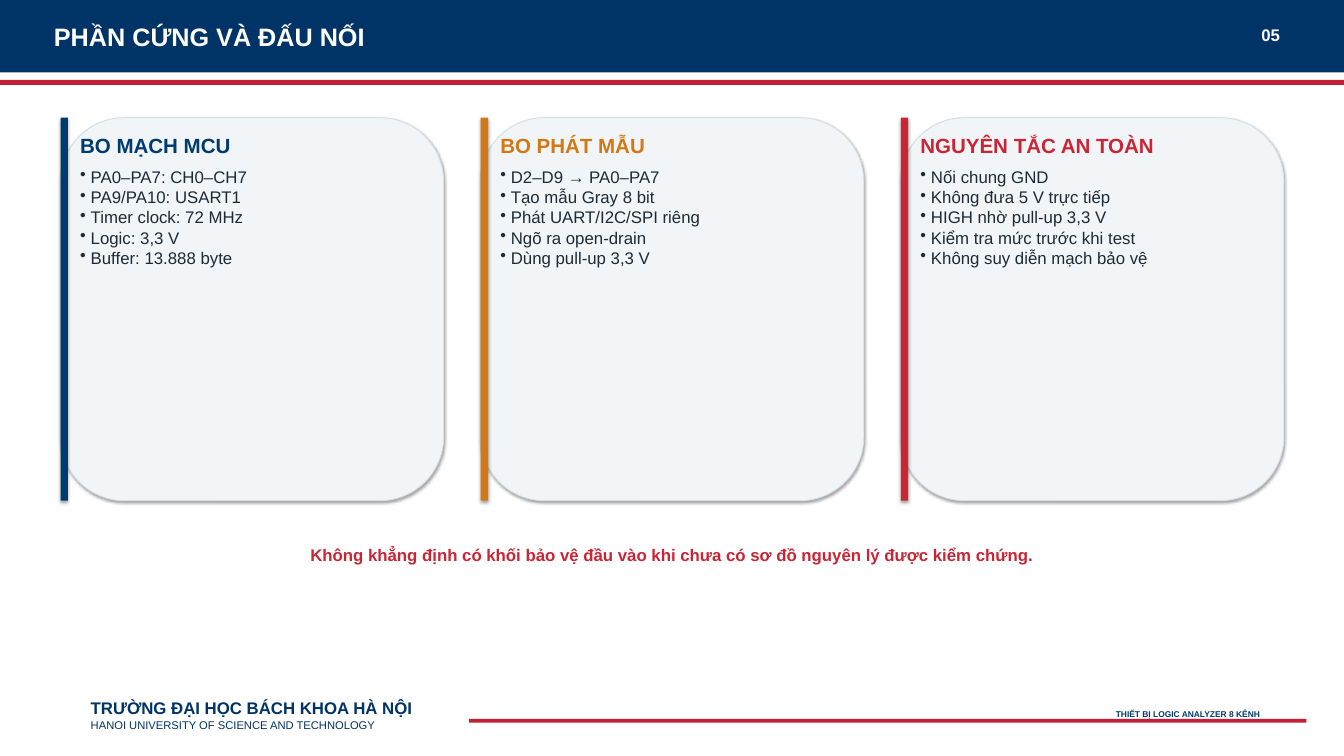
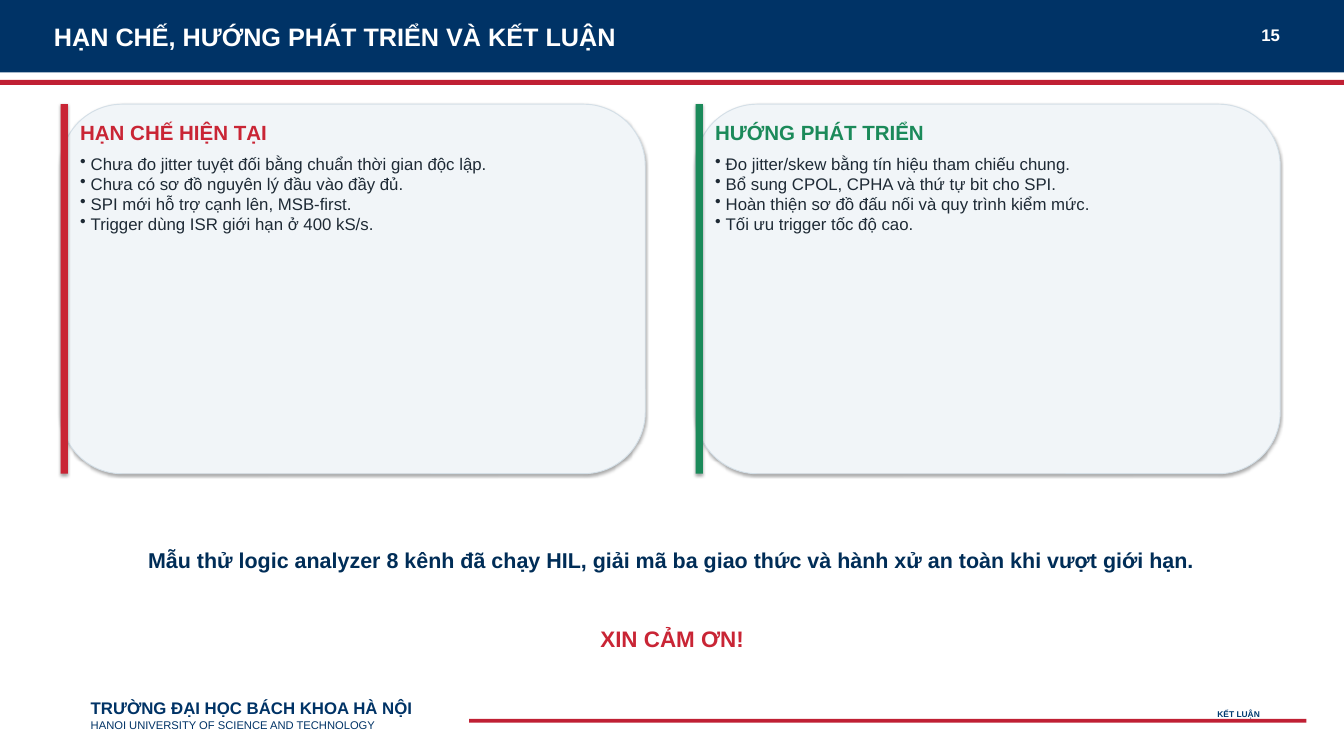
from lxml.etree import SubElement
from pptx import Presentation
from pptx.dml.color import RGBColor
from pptx.enum.shapes import MSO_SHAPE as Preset
from pptx.enum.text import MSO_ANCHOR as Anchor, PP_ALIGN as Align
from pptx.oxml.ns import qn
from pptx.util import Cm, Pt

WHITE = RGBColor(0xFF, 0xFF, 0xFF)
BAND_BLUE = RGBColor(0x00, 0x33, 0x66)
BAND_RED = RGBColor(0xC0, 0x20, 0x34)
NAVY = RGBColor(0x00, 0x3B, 0x70)
DEEP_NAVY = RGBColor(0x00, 0x2D, 0x57)
ORANGE = RGBColor(0xD2, 0x78, 0x14)
RED = RGBColor(0xC9, 0x25, 0x35)
GREEN = RGBColor(0x1B, 0x8A, 0x5A)
INK = RGBColor(0x1E, 0x2A, 0x35)
CARD_FILL = RGBColor(0xF1, 0xF5, 0xF8)
CARD_EDGE = RGBColor(0xD4, 0xDF, 0xE7)

FONT = "Arial"
SLIDE_W, SLIDE_H = 50.8, 28.58
CARD_LEFT = 2.29
INSET = 0.13
BULLET_INDENT = 0.4

TITLE = {"size": Pt(27), "bold": True}
NUMBER = {"size": Pt(18), "bold": True}
FOOTER = {"size": Pt(9), "bold": True}
UNIVERSITY = {"size": Pt(18), "bold": True}
UNIVERSITY_EN = {"size": Pt(12), "bold": False}
HEADING = {"size": Pt(22), "bold": True}
BODY = {"size": Pt(18), "bold": False}
WARNING = {"size": Pt(18), "bold": True}
SUMMARY = {"size": Pt(23), "bold": True}
THANKS = {"size": Pt(24), "bold": True}


def format_font(font, style, color):
    for attribute, value in {"name": FONT, **style}.items():
        setattr(font, attribute, value)
    font.color.rgb = color


def add_block(slide, box, fill, preset=Preset.RECTANGLE, edge=None):
    block = slide.shapes.add_shape(preset, *map(Cm, box))
    block.fill.solid()
    block.fill.fore_color.rgb = fill
    if edge is None:
        block.line.fill.background()
    else:
        block.line.color.rgb = edge
        block.line.width = Pt(1)
    block.shadow.inherit = False
    return block


def cast_shadow(block):
    effects = block._element.spPr.find(qn("a:effectLst"))
    shadow = SubElement(effects, qn("a:outerShdw"), blurRad="40000",
                        dist="23000", dir="5400000", rotWithShape="0")
    black = SubElement(shadow, qn("a:srgbClr"), val="000000")
    SubElement(black, qn("a:alpha"), val="35000")


def add_text(slide, box, lines, style, color, align=Align.LEFT,
             anchor=Anchor.TOP, inset=INSET):
    """Add a text box with one paragraph per line and return its paragraphs."""
    frame = slide.shapes.add_textbox(*map(Cm, box)).text_frame
    frame.word_wrap = True
    frame.vertical_anchor = anchor
    for side in ("left", "top", "right", "bottom"):
        setattr(frame, f"margin_{side}", Cm(inset))
    frame.text = "\n".join(lines)
    for paragraph in frame.paragraphs:
        paragraph.alignment = align
        format_font(paragraph.font, style, color)
        for run in paragraph.runs:
            format_font(run.font, style, color)
    return frame.paragraphs


def add_bullets(slide, box, items):
    indent = Cm(BULLET_INDENT)
    for paragraph in add_text(slide, box, items, BODY, INK):
        properties = paragraph._p.get_or_add_pPr()
        properties.set("marL", str(indent))
        properties.set("indent", str(-indent))
        bullet = properties.makeelement(qn("a:buChar"), {"char": "•"})
        properties.insert(0, bullet)


def add_header(slide, title, number):
    add_block(slide, (0, 0, SLIDE_W, 2.74), BAND_BLUE)
    add_block(slide, (0, 3.02, SLIDE_W, 0.19), BAND_RED)
    add_text(slide, (1.91, 0.69, 42.67, 1.4), [title], TITLE, WHITE,
             anchor=Anchor.MIDDLE)
    add_text(slide, (45.97, 0.69, 2.54, 1.27), [number], NUMBER, WHITE,
             Align.RIGHT, Anchor.MIDDLE)


def add_footer(slide, topic):
    names = add_text(
        slide, (3.43, 25.96, 13.72, 2.13),
        ["TRƯỜNG ĐẠI HỌC BÁCH KHOA HÀ NỘI",
         "HANOI UNIVERSITY OF SCIENCE AND TECHNOLOGY"],
        UNIVERSITY, BAND_BLUE, anchor=Anchor.MIDDLE, inset=0)
    for name, style in zip(names, (UNIVERSITY, UNIVERSITY_EN)):
        name.line_spacing = Pt(style["size"].pt * 1.2)
        format_font(name.font, style, BAND_BLUE)
        format_font(name.runs[0].font, style, BAND_BLUE)
    add_block(slide, (17.73, 27.18, 31.65, 0.14), BAND_RED)
    add_text(slide, (34.8, 26.67, 12.95, 0.64), [topic], FOOTER, NAVY,
             Align.RIGHT)


def add_card(slide, box, heading, accent, items):
    left, top, width, height = box
    cast_shadow(add_block(slide, box, CARD_FILL, Preset.ROUNDED_RECTANGLE,
                          CARD_EDGE))
    cast_shadow(add_block(slide, (left, top, 0.28, height), accent))
    text_left, text_width = left + 0.61, width - 1.07
    add_text(slide, (text_left, top + 0.46, text_width, 1.07), [heading],
             HEADING, accent)
    add_bullets(slide, (text_left, top + 1.73, text_width, height - 2.08),
                items)


def add_card_row(slide, top, width, height, gap, cards):
    for column, card in enumerate(cards):
        left = CARD_LEFT + column * (width + gap)
        add_card(slide, (left, top, width, height), *card)


def add_framed_slide(deck, title, number, topic):
    slide = deck.slides.add_slide(deck.slide_layouts[6])
    add_header(slide, title, number)
    add_footer(slide, topic)
    return slide


def build_hardware(deck):
    slide = add_framed_slide(deck, "PHẦN CỨNG VÀ ĐẤU NỐI", "05",
                             "THIẾT BỊ LOGIC ANALYZER 8 KÊNH")
    add_card_row(slide, 4.45, 14.48, 14.48, 1.4, [
        ("BO MẠCH MCU", NAVY, [
            "PA0–PA7: CH0–CH7",
            "PA9/PA10: USART1",
            "Timer clock: 72 MHz",
            "Logic: 3,3 V",
            "Buffer: 13.888 byte"]),
        ("BO PHÁT MẪU", ORANGE, [
            "D2–D9 → PA0–PA7",
            "Tạo mẫu Gray 8 bit",
            "Phát UART/I2C/SPI riêng",
            "Ngõ ra open-drain",
            "Dùng pull-up 3,3 V"]),
        ("NGUYÊN TẮC AN TOÀN", RED, [
            "Nối chung GND",
            "Không đưa 5 V trực tiếp",
            "HIGH nhờ pull-up 3,3 V",
            "Kiểm tra mức trước khi test",
            "Không suy diễn mạch bảo vệ"]),
    ])
    add_text(slide, (5.33, 20.45, 40.13, 1.4),
             ["Không khẳng định có khối bảo vệ đầu vào khi chưa có "
              "sơ đồ nguyên lý được kiểm chứng."],
             WARNING, RED, Align.CENTER)


def build_conclusion(deck):
    slide = add_framed_slide(deck, "HẠN CHẾ, HƯỚNG PHÁT TRIỂN VÀ KẾT LUẬN",
                             "15", "KẾT LUẬN")
    add_card_row(slide, 3.94, 22.1, 13.97, 1.9, [
        ("HẠN CHẾ HIỆN TẠI", RED, [
            "Chưa đo jitter tuyệt đối bằng chuẩn thời gian độc lập.",
            "Chưa có sơ đồ nguyên lý đầu vào đầy đủ.",
            "SPI mới hỗ trợ cạnh lên, MSB-first.",
            "Trigger dùng ISR giới hạn ở 400 kS/s."]),
        ("HƯỚNG PHÁT TRIỂN", GREEN, [
            "Đo jitter/skew bằng tín hiệu tham chiếu chung.",
            "Bổ sung CPOL, CPHA và thứ tự bit cho SPI.",
            "Hoàn thiện sơ đồ đấu nối và quy trình kiểm mức.",
            "Tối ưu trigger tốc độ cao."]),
    ])
    add_text(slide, (4.06, 19.69, 42.67, 2.92),
             ["Mẫu thử logic analyzer 8 kênh đã chạy HIL, giải mã ba giao "
              "thức và hành xử an toàn khi vượt giới hạn."],
             SUMMARY, DEEP_NAVY, Align.CENTER, Anchor.MIDDLE)
    add_text(slide, (17.53, 23.5, 15.75, 1.4), ["XIN CẢM ƠN!"], THANKS, RED,
             Align.CENTER)


def main():
    deck = Presentation()
    deck.slide_width, deck.slide_height = Cm(SLIDE_W), Cm(SLIDE_H)
    build_hardware(deck)
    build_conclusion(deck)
    deck.save("out.pptx")


if __name__ == "__main__":
    main()
